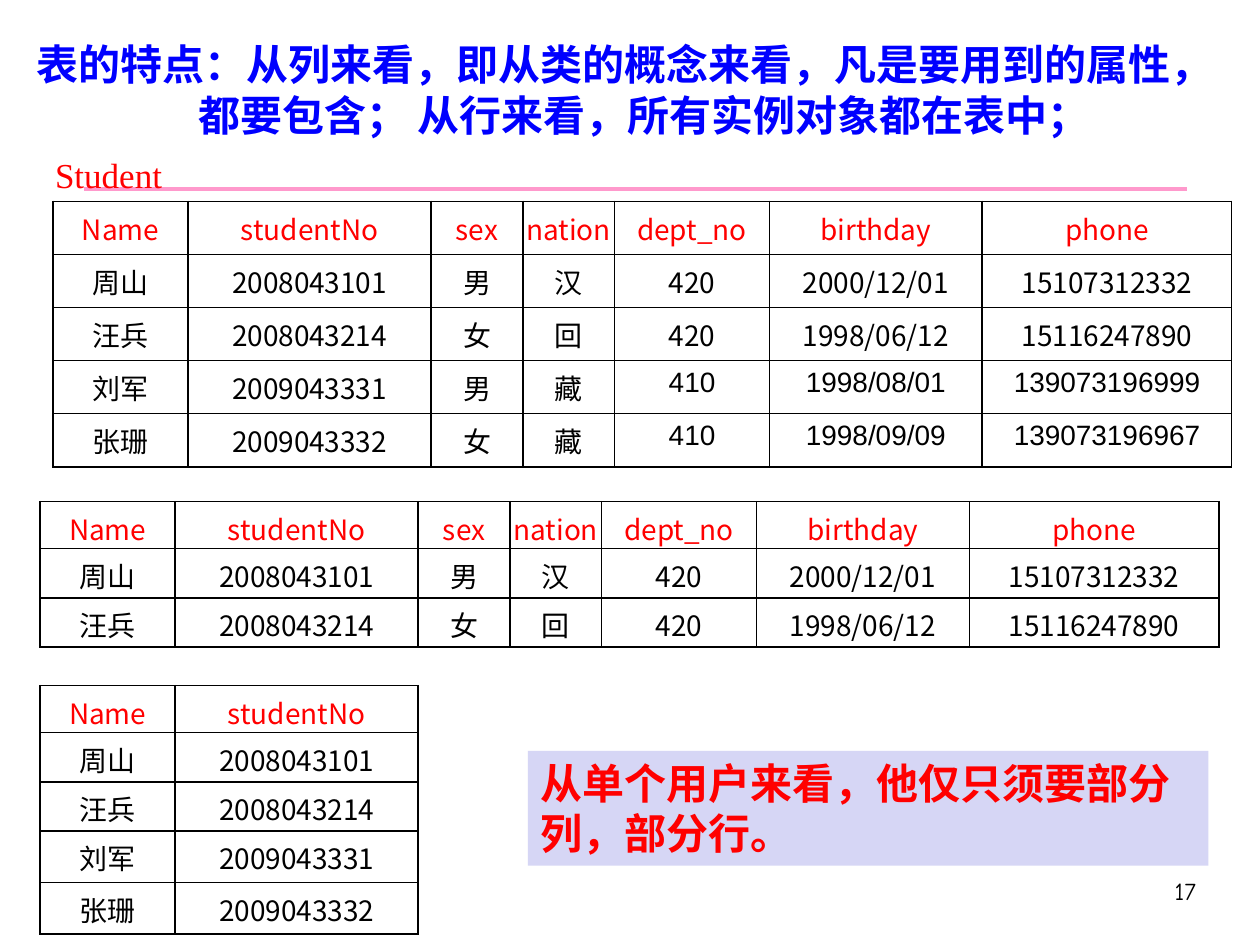
from lxml.etree import SubElement
from pptx import Presentation
from pptx.dml.color import RGBColor
from pptx.enum.shapes import MSO_CONNECTOR as Connector, MSO_SHAPE as Shape
from pptx.enum.text import MSO_ANCHOR as Anchor, PP_ALIGN as Align
from pptx.oxml.ns import qn
from pptx.util import Cm, Pt

BLACK = RGBColor(0x00, 0x00, 0x00)
RED = RGBColor(0xFF, 0x00, 0x00)
BLUE = RGBColor(0x00, 0x00, 0xFF)
PINK = RGBColor(0xFF, 0x99, 0xCC)
LAVENDER = RGBColor(0xD6, 0xD6, 0xF5)

CJK = "Noto Sans CJK SC"

HEADINGS = ["Name", "studentNo", "sex", "nation", "dept_no", "birthday", "phone"]
STUDENTS = [
    ["周山", "2008043101", "男", "汉", "420", "2000/12/01", "15107312332"],
    ["汪兵", "2008043214", "女", "回", "420", "1998/06/12", "15116247890"],
    ["刘军", "2009043331", "男", "藏", "410", "1998/08/01", "139073196999"],
    ["张珊", "2009043332", "女", "藏", "410", "1998/09/09", "139073196967"],
]
COLUMN_WIDTHS = [2.72, 4.9, 1.85, 1.85, 3.12, 4.29, 5.03]
COMPACT_HEIGHTS = [0.95, 0.99, 0.99, 1.04, 1.04]


def add_run(paragraph, text, size, color, font=CJK, bold=False):
    run = paragraph.add_run()
    run.text = text
    run.font.size = Pt(size)
    run.font.bold = bold
    run.font.name = font
    run.font.color.rgb = color
    if font == CJK:
        SubElement(run.font._element, qn("a:ea"), typeface=font)


def add_label(slide, left, top, width, height, anchor=Anchor.TOP, wrap=True):
    """Add an empty text box and return its text frame."""
    frame = slide.shapes.add_textbox(Cm(left), Cm(top), Cm(width), Cm(height)).text_frame
    frame.word_wrap = wrap
    frame.vertical_anchor = anchor
    return frame


def add_title(slide):
    frame = add_label(slide, 0.48, 0.43, 24.38, 2.74, Anchor.MIDDLE)
    add_run(frame.paragraphs[0], "表的特点：从列来看，即从类的概念来看，凡是要用到的属性，",
            24, BLUE, bold=True)
    second_line = frame.add_paragraph()
    second_line._p.get_or_add_pPr().set("marL", str(Cm(3.27)))
    add_run(second_line, "都要包含； 从行来看，所有实例对象都在表中；", 24, BLUE, bold=True)


def add_rule(slide):
    rule = slide.shapes.add_connector(
        Connector.STRAIGHT, Cm(1.7), Cm(3.81), Cm(23.93), Cm(3.81))
    rule.line.color.rgb = PINK
    rule.line.width = Pt(2)
    SubElement(rule._element.spPr, qn("a:effectLst"))


def add_borders(cell):
    properties = cell._tc.get_or_add_tcPr()
    for side in ("lnL", "lnR", "lnT", "lnB"):
        border = SubElement(properties, qn(f"a:{side}"), w=str(Pt(1)))
        fill = SubElement(border, qn("a:solidFill"))
        SubElement(fill, qn("a:srgbClr"), val=str(BLACK))


def add_student_table(slide, left, top, row_heights, column_count=len(HEADINGS)):
    """Show the first columns of as many rows as there are heights."""
    widths = COLUMN_WIDTHS[:column_count]
    table = slide.shapes.add_table(
        len(row_heights), column_count, Cm(left), Cm(top),
        Cm(sum(widths)), Cm(sum(row_heights))).table
    for column, width in zip(table.columns, widths):
        column.width = Cm(width)
    for row, height in zip(table.rows, row_heights):
        row.height = Cm(height)

    for r, record in enumerate([HEADINGS, *STUDENTS][:len(row_heights)]):
        for c, value in enumerate(record[:column_count]):
            cell = table.cell(r, c)
            add_borders(cell)
            cell.fill.background()
            cell.margin_left = cell.margin_right = cell.margin_bottom = 0
            cell.margin_top = Cm(0.13)
            paragraph = cell.text_frame.paragraphs[0]
            paragraph.alignment = Align.CENTER
            font = "Arial" if r >= 3 and c >= 4 else CJK
            add_run(paragraph, value, 16, RED if r == 0 else BLACK, font)


def add_conclusion(slide):
    box = slide.shapes.add_shape(
        Shape.RECTANGLE, Cm(10.64), Cm(15.14), Cm(13.72), Cm(2.31))
    box.shadow.inherit = False
    box.fill.solid()
    box.fill.fore_color.rgb = LAVENDER
    box.line.fill.background()
    frame = box.text_frame
    frame.word_wrap = True
    frame.vertical_anchor = Anchor.TOP
    paragraph = frame.paragraphs[0]
    paragraph.alignment = Align.LEFT
    add_run(paragraph, "从单个用户来看，他仅只须要部分列，部分行。", 24, RED, bold=True)


def main():
    deck = Presentation()
    deck.slide_width, deck.slide_height = Cm(25.4), Cm(19.05)
    slide = deck.slides.add_slide(deck.slide_layouts[6])

    add_rule(slide)
    page_number = add_label(slide, 19.08, 17.53, 5.28, 1.27).paragraphs[0]
    page_number.alignment = Align.RIGHT
    add_run(page_number, "17", 14, BLACK, "Comic Neue")
    add_title(slide)

    add_student_table(slide, 1.07, 4.06, [1.07] * 5)
    table_name = add_label(slide, 0.86, 2.95, 2.67, 1.12, Anchor.MIDDLE, wrap=False)
    add_run(table_name.paragraphs[0], "Student", 20, RED, "Times New Roman")
    add_student_table(slide, 0.81, 13.82, COMPACT_HEIGHTS, column_count=2)
    add_student_table(slide, 0.81, 10.11, COMPACT_HEIGHTS[:3])
    add_conclusion(slide)

    deck.save("out.pptx")


if __name__ == "__main__":
    main()
